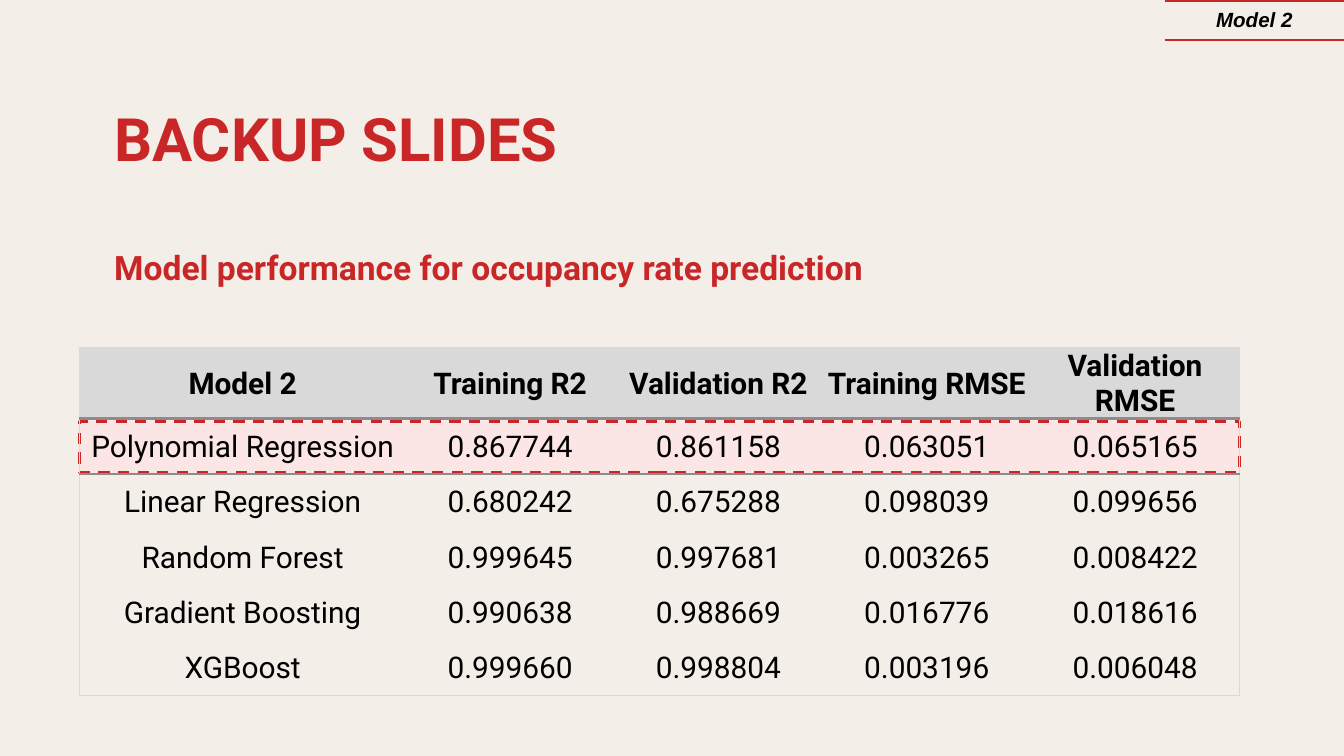
import pptx
import pptx.dml.color
import pptx.enum.dml
import pptx.enum.shapes
import pptx.enum.text
import pptx.oxml
import pptx.oxml.ns
import pptx.util

Pt = pptx.util.Pt
ALIGN = pptx.enum.text.PP_ALIGN
MID = pptx.enum.text.MSO_ANCHOR.MIDDLE
COLORS = {"page": "F4EEE9", "red": "C92727", "pink": "FBE5E5",
          "grey": "D9D9D9", "rule": "94888C", "ink": "000000"}
HEAD = {"name": "Roboto", "size": Pt(16), "bold": True}
BODY = {**HEAD, "bold": False}
TITLE = {**HEAD, "size": Pt(32)}
SUB = {**HEAD, "size": Pt(18)}
BADGE = {"name": "Arial", "size": Pt(11), "bold": True, "italic": True}
INSET = {"margin_left": Pt(0.75), "margin_right": Pt(0.75),
         "margin_top": Pt(0.75), "margin_bottom": 0}
ROWS = [
    ("Model 2", "Training R2", "Validation R2", "Training RMSE", "Validation RMSE"),
    ("Polynomial Regression", "0.867744", "0.861158", "0.063051", "0.065165"),
    ("Linear Regression", "0.680242", "0.675288", "0.098039", "0.099656"),
    ("Random Forest", "0.999645", "0.997681", "0.003265", "0.008422"),
    ("Gradient Boosting", "0.990638", "0.988669", "0.016776", "0.018616"),
    ("XGBoost", "0.999660", "0.998804", "0.003196", "0.006048"),
]


def color(key):
    """Return a palette colour."""
    return pptx.dml.color.RGBColor.from_string(COLORS[key])


def apply(item, style):
    """Set every attribute in a style on an item."""
    for key, value in style.items():
        setattr(item, key, value)


def write(para, text, style, ink, align):
    """Put one formatted run in a paragraph."""
    para.alignment = align
    run = para.add_run()
    run.text = text
    apply(run.font, style)
    run.font.color.rgb = color(ink)


def border(cell, sides):
    """Draw cell borders given as side: (colour, width)."""
    props = cell._tc.get_or_add_tcPr()
    used = [side for side in "LRTB" if side in sides]
    for spot, side in enumerate(used):
        key, width = sides[side]
        props.insert(spot, pptx.oxml.parse_xml(
            f'<a:ln{side} {pptx.oxml.ns.nsdecls("a")} w="{Pt(width)}"><a:solidFill>'
            f'<a:srgbClr val="{COLORS[key]}"/></a:solidFill></a:ln{side}>'))


def grid(slide, box, rows, cols):
    """Add a plain table without style bands."""
    frame = slide.shapes.add_table(rows, cols, *map(Pt, box))
    table = frame.table
    table.first_row = table.horz_banding = False
    for node in table._tbl.iter(pptx.oxml.ns.qn("a:tableStyleId")):
        node.text = "{2D5ABB26-0587-4C30-8999-92F81FD0307C}"
    for cell in table.iter_cells():
        cell.vertical_anchor = MID
        cell.fill.background()
    return table


def heading(slide, box):
    """Fill the title with a heading and a subheading."""
    title = slide.shapes.title
    apply(title, dict(zip(("left", "top", "width", "height"), map(Pt, box))))
    frame = title.text_frame
    edges = ("margin_left", "margin_right", "margin_top", "margin_bottom")
    apply(frame, dict.fromkeys(edges, Pt(7.2)))
    apply(frame, {"vertical_anchor": MID, "word_wrap": True,
                  "auto_size": pptx.enum.text.MSO_AUTO_SIZE.NONE})
    write(frame.paragraphs[0], "BACKUP SLIDES", TITLE, "red", ALIGN.LEFT)
    para = frame.add_paragraph()
    para.space_before = Pt(39)
    write(para, "Model performance for occupancy rate prediction", SUB, "red", ALIGN.LEFT)


def scores(slide, box):
    """Add the score table over a dashed highlight."""
    left, top, width, height = box
    mark = slide.shapes.add_shape(pptx.enum.shapes.MSO_SHAPE.RECTANGLE,
                                  *map(Pt, (left, top + 39.5, width, 27.4)))
    mark.shadow.inherit = False
    mark.fill.solid()
    mark.fill.fore_color.rgb = color("pink")
    mark.line.color.rgb = color("red")
    apply(mark.line, {"width": Pt(1.5),
                      "dash_style": pptx.enum.dml.MSO_LINE.DASH})

    count, wide = len(ROWS), len(ROWS[0])
    table = grid(slide, box, count, wide)
    first = 175
    for num, col in enumerate(table.columns):
        col.width = Pt((width - first) / (wide - 1) if num else first)
    for y, row in enumerate(ROWS):
        table.rows[y].height = Pt(29.7)
        for x, text in enumerate(row):
            cell = table.cell(y, x)
            apply(cell, INSET)
            write(cell.text_frame.paragraphs[0], text, BODY if y else HEAD,
                  "ink", ALIGN.CENTER)
            sides = {}
            if x == 0:
                sides["L"] = ("grey", 0.75)
            if x == wide - 1:
                sides["R"] = ("grey", 0.75)
            if y < 2:
                sides["B" if y == 0 else "T"] = ("rule", 1.5)
            if y == 0:
                sides["T"] = ("grey", 0.75)
                cell.fill.solid()
                cell.fill.fore_color.rgb = color("grey")
            if y == count - 1:
                sides["B"] = ("grey", 0.75)
            border(cell, sides)


def badge(slide, box):
    """Add the corner label between two red rules."""
    cell = grid(slide, box, 1, 1).cell(0, 0)
    write(cell.text_frame.paragraphs[0], "Model 2", BADGE, "ink", ALIGN.CENTER)
    border(cell, dict.fromkeys("TB", ("red", 1.5)))


def main():
    """Build and save the slide."""
    deck = pptx.Presentation()
    apply(deck, {"slide_width": Pt(720), "slide_height": Pt(405)})
    slide = deck.slides.add_slide(deck.slide_layouts[5])
    slide.background.fill.solid()
    slide.background.fill.fore_color.rgb = color("page")
    heading(slide, (54, 81.5, 607, 45.5))
    scores(slide, (42.5, 186.3, 621.4, 187.9))
    badge(slide, (624, 0.6, 96, 21))
    deck.save("out.pptx")


if __name__ == "__main__":
    main()
